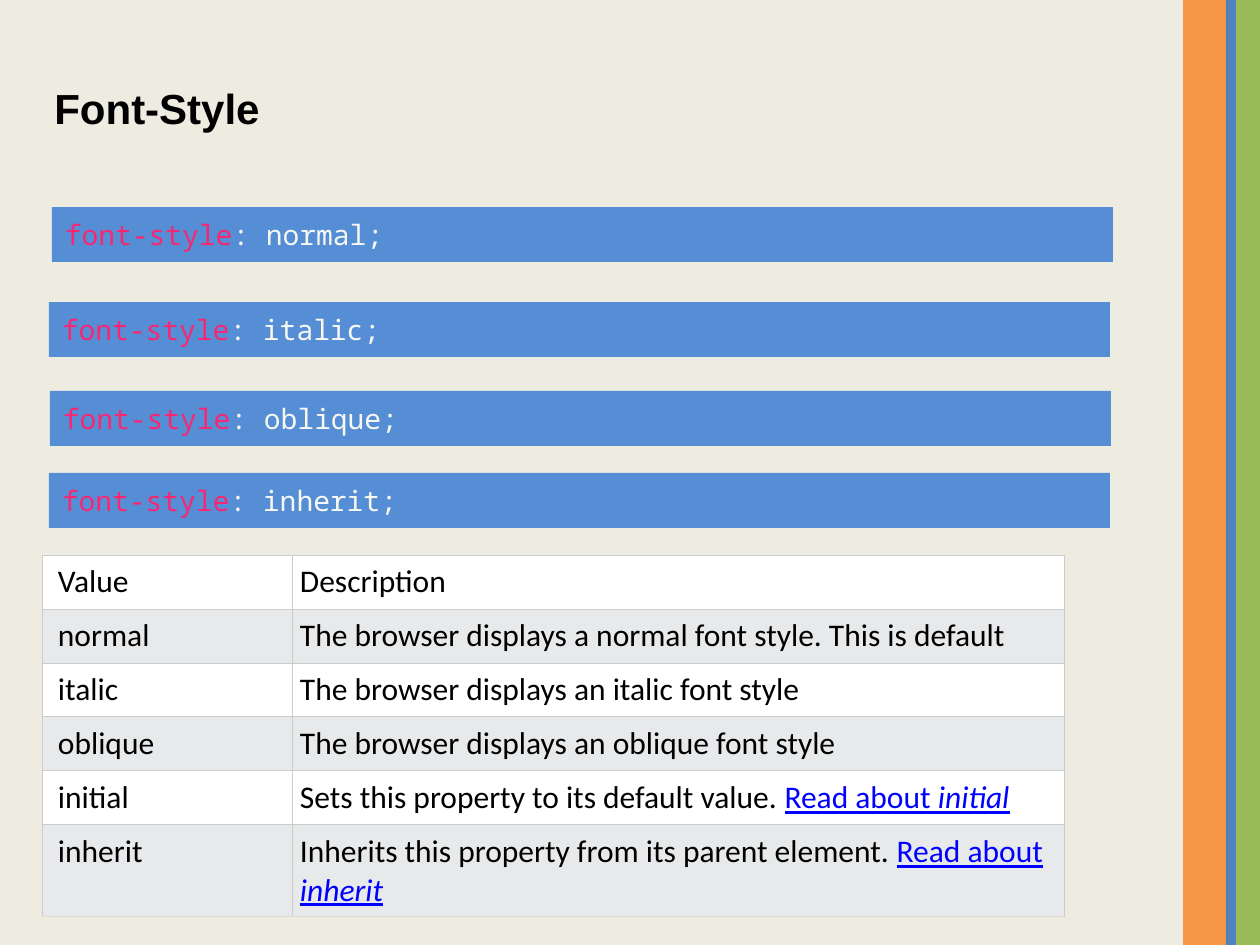
from lxml import etree
from pptx import Presentation
from pptx.dml.color import RGBColor
from pptx.enum.shapes import MSO_SHAPE
from pptx.enum.text import MSO_ANCHOR, PP_ALIGN
from pptx.oxml.ns import qn
from pptx.util import Pt

RECTANGLE = MSO_SHAPE.RECTANGLE
MIDDLE = MSO_ANCHOR.MIDDLE
LEFT = PP_ALIGN.LEFT
EMU_PER_PX = 914400 / 126

COLORS = {
    "background": "EEECE1", "orange": "F79646", "blue": "4F81BD", "green": "9BBB59",
    "code_bar": "558ED5", "property": "F92672", "code": "F8F8F2",
    "text": "000000", "link": "0000FF", "row": "FFFFFF", "row_alt": "E7E9EB",
    "border": "CCCCCC", "border_end": "DDDDDD",
}


def px(length):
    return round(length * EMU_PER_PX)


def rgb(name):
    return RGBColor.from_string(COLORS[name])


class StyledSlide:
    """Draws the elements of one slide in a shared style."""

    heading_font, body_font, code_font = "Arial", "Calibri", "Noto Sans Mono"

    def __init__(self, slide):
        self.slide = slide
        slide.background.fill.solid()
        slide.background.fill.fore_color.rgb = rgb("background")

    def add_run(self, paragraph, text, font, size, color, bold=False, italic=False, underline=False):
        run = paragraph.add_run()
        run.text = text
        run.font.name, run.font.size = font, Pt(size)
        run.font.color.rgb = rgb(color)
        run.font.bold, run.font.italic, run.font.underline = bold, italic, underline

    def set_insets(self, holder, left, top, right, bottom):
        holder.margin_left, holder.margin_top = px(left), px(top)
        holder.margin_right, holder.margin_bottom = px(right), px(bottom)

    def bar(self, left, top, width, height, color):
        rectangle = self.slide.shapes.add_shape(RECTANGLE, px(left), px(top), px(width), px(height))
        rectangle.shadow.inherit = False
        rectangle.fill.solid()
        rectangle.fill.fore_color.rgb = rgb(color)
        rectangle.line.fill.background()
        return rectangle

    def title(self, left, top, width, height, text):
        frame = self.slide.shapes.add_textbox(px(left), px(top), px(width), px(height)).text_frame
        frame.word_wrap = True
        heading = frame.paragraphs[0]
        heading.line_spacing = 1.07
        heading.space_before = heading.space_after = Pt(3.8)
        self.add_run(heading, text, self.heading_font, 24, "text", bold=True)

    def code_line(self, left, top, width, height, name, value):
        frame = self.bar(left, top, width, height, "code_bar").text_frame
        frame.word_wrap = True
        frame.vertical_anchor = MIDDLE
        self.set_insets(frame, 13, 10, 13, 10)
        declaration = frame.paragraphs[0]
        declaration.alignment = LEFT
        self.add_run(declaration, name, self.code_font, 16, "property")
        self.add_run(declaration, f": {value};", self.code_font, 16, "code")

    def border(self, cell, bottom):
        """Gives a cell thin lines on all sides; the bottom one has its own colour."""
        properties = cell._tc.get_or_add_tcPr()
        for side in ("L", "R", "T", "B"):
            line = etree.SubElement(properties, qn(f"a:ln{side}"), w=str(Pt(0.6)))
            fill = etree.SubElement(line, qn("a:solidFill"))
            color = bottom if side == "B" else "border"
            etree.SubElement(fill, qn("a:srgbClr"), val=COLORS[color])

    def table(self, left, top, column_widths, row_heights, rows):
        """Each row is a value, its description and the keyword of its link, if any."""
        table = self.slide.shapes.add_table(
            len(rows), len(column_widths), px(left), px(top),
            px(sum(column_widths)), px(sum(row_heights))).table
        for column, width in zip(table.columns, column_widths):
            column.width = px(width)
        for index, (value, description, keyword) in enumerate(rows):
            table.rows[index].height = px(row_heights[index])
            bottom = "border_end" if index == len(rows) - 1 else "border"
            for column, text in enumerate((value, description)):
                cell = table.cell(index, column)
                self.set_insets(cell, 8 if column else 16, 8, 8, 8)
                self.border(cell, bottom)
                cell.fill.solid()
                cell.fill.fore_color.rgb = rgb("row_alt" if index % 2 else "row")
                self.add_run(cell.text_frame.paragraphs[0], text, self.body_font, 18, "text")
            if keyword:
                sentence = cell.text_frame.paragraphs[0]
                for text, italic in (("Read about ", False), (keyword, True)):
                    self.add_run(sentence, text, self.body_font, 18, "link",
                                 italic=italic, underline=True)


def main():
    presentation = Presentation()
    presentation.slide_width, presentation.slide_height = px(1260), px(945)
    page = StyledSlide(presentation.slides.add_slide(presentation.slide_layouts[6]))

    for left, width, color in ((1183, 44, "orange"), (1236, 24, "green"), (1226, 10, "blue")):
        page.bar(left, 0, width, 945, color)

    page.title(42, 73, 630, 64, "Font-Style")
    for left, top, value in ((52, 207, "normal"), (49, 302, "italic"),
                             (50, 391, "oblique"), (49, 473, "inherit")):
        page.code_line(left, top, 1061, 55, "font-style", value)

    page.table(42, 555, (250, 772), (54, 54, 54, 54, 54, 92), (
        ("Value", "Description", None),
        ("normal", "The browser displays a normal font style. This is default", None),
        ("italic", "The browser displays an italic font style", None),
        ("oblique", "The browser displays an oblique font style", None),
        ("initial", "Sets this property to its default value. ", "initial"),
        ("inherit", "Inherits this property from its parent element. ", "inherit"),
    ))
    presentation.save("out.pptx")


if __name__ == "__main__":
    main()
